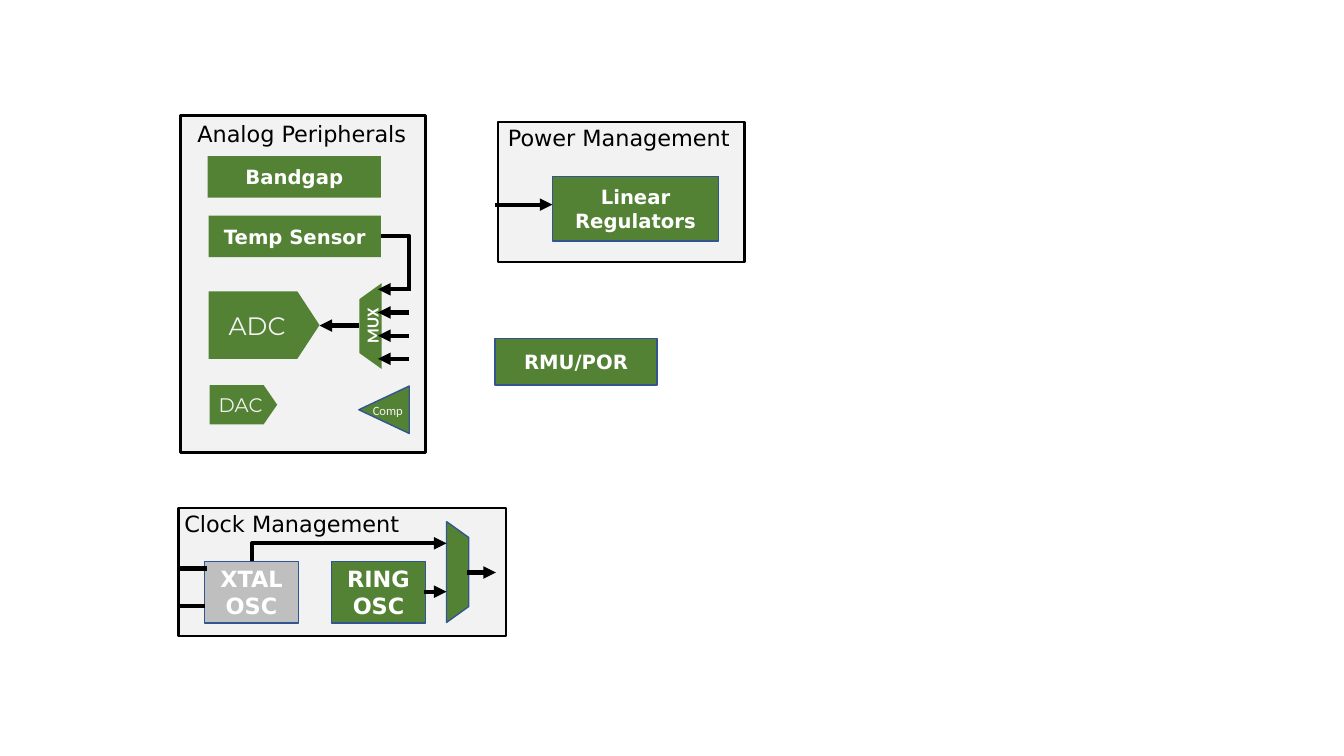
from dataclasses import dataclass

from lxml.etree import SubElement
from pptx import Presentation
from pptx.dml.color import RGBColor
from pptx.enum.shapes import MSO_CONNECTOR as Wire, MSO_SHAPE as Form
from pptx.enum.text import MSO_ANCHOR as Anchor, PP_ALIGN as Align
from pptx.oxml.ns import qn
from pptx.util import Inches, Pt


@dataclass(frozen=True)
class Theme:
    green: str = "548235"
    gray: str = "BFBFBF"
    panel: str = "F2F2F2"
    white: str = "FFFFFF"
    black: str = "000000"
    outline: str = "325491"
    sans: str = "DejaVu Sans"
    small_sans: str = "Calibri"
    display: str = "Montserrat"
    heading: int = 16
    block: int = 14
    converter: int = 18
    mux: int = 12
    small: int = 9
    wire: int = 3
    frame: int = 2
    thin: int = 1


THEME = Theme()
COLUMNS, ROWS = 133.33, 75


def cells(count):
    """Length of a number of grid cells, ten to the inch."""
    return Inches(count / 10)


class Region:
    """Draws parts at grid offsets from the corner of a box."""

    def __init__(self, shapes, box):
        self.shapes = shapes
        self.left, self.top, self.width, self.height = box

    def spot(self, x, y):
        return cells(self.left + x), cells(self.top + y)

    def add_text(self, shape, text, size, font, color, bold=False):
        para = shape.text_frame.paragraphs[0]
        span = para.add_run()
        span.text = text
        span.font.size, span.font.name, span.font.bold = Pt(size), font, bold
        span.font.color.rgb = RGBColor.from_string(color)
        return para

    def shape(self, form, box, fill=THEME.green, line=None, weight=THEME.thin, turn=0):
        """Adds a shape; box is its visible extent, also when it is turned."""
        x, y, width, height = box
        if turn:
            x, y = x + (width - height) / 2, y + (height - width) / 2
            width, height = height, width
        shape = self.shapes.add_shape(form, *self.spot(x, y), cells(width), cells(height))
        shape.rotation = turn
        shape.shadow.inherit = False
        shape.fill.solid()
        shape.fill.fore_color.rgb = RGBColor.from_string(fill)
        if line:
            shape.line.color.rgb = RGBColor.from_string(line)
            shape.line.width = Pt(weight)
        else:
            shape.line.fill.background()
        return shape

    def frame(self):
        self.shape(Form.RECTANGLE, (0, 0, self.width, self.height),
                   THEME.panel, THEME.black, THEME.frame)

    def caption(self, shape, text, size=THEME.block, font=THEME.sans):
        shape.text_frame.word_wrap = True
        shape.text_frame.vertical_anchor = Anchor.MIDDLE
        para = self.add_text(shape, text, size, font, THEME.white, bold=True)
        para.alignment = Align.CENTER

    def block(self, text, box, size=THEME.block, **style):
        self.caption(self.shape(Form.RECTANGLE, box, **style), text, size)

    def label(self, text, box, size=THEME.heading, font=THEME.sans,
              color=THEME.black, wrap=True):
        x, y, width, height = box
        label = self.shapes.add_textbox(*self.spot(x, y), cells(width), cells(height))
        label.text_frame.word_wrap = wrap
        self.add_text(label, text, size, font, color)

    def mux(self, box, turn, line=None):
        mux = self.shape(Form.TRAPEZOID, box, line=line, turn=turn)
        mux.adjustments[0] = 0.717
        return mux

    def wire(self, start, end, arrow=True, kind=Wire.STRAIGHT):
        wire = self.shapes.add_connector(kind, *self.spot(*start), *self.spot(*end))
        wire.line.width = Pt(THEME.wire)
        wire.line.color.rgb = RGBColor.from_string(THEME.black)
        properties = wire._element.spPr
        if arrow:
            SubElement(properties.find(qn("a:ln")), qn("a:tailEnd"), type="triangle")
        SubElement(properties, qn("a:effectLst"))
        return wire

    def corner(self, start, end, arrow=True, rising=False):
        """Adds a one-bend wire: across then down, or up then across if rising."""
        if rising:
            middle_x, middle_y = (start[0] + end[0]) / 2, (start[1] + end[1]) / 2
            half_x, half_y = abs(start[1] - end[1]) / 2, abs(end[0] - start[0]) / 2
            start = middle_x + half_x, middle_y + half_y
            end = middle_x - half_x, middle_y - half_y
        wire = self.wire(start, end, arrow, Wire.ELBOW)
        properties = wire._element.spPr
        properties.find(qn("a:prstGeom")).set("prst", "bentConnector2")
        if rising:
            properties.find(qn("a:xfrm")).set("rot", str(90 * 60000))


def analog_peripherals(shapes, box):
    region = Region(shapes, box)
    region.frame()
    region.label("Analog Peripherals", (0.7, -0.1, 23, 3.7))
    region.block("Bandgap", (2.7, 4, 17.2, 4.1))
    region.block("Temp Sensor", (2.8, 9.9, 17.1, 4.1))
    region.shape(Form.FLOWCHART_OFFPAGE_CONNECTOR, (2.8, 17.4, 11, 6.7), turn=270)
    mux = region.mux((17.75, 16.6, 2.2, 8.5), turn=270)
    region.caption(mux, "MUX", THEME.mux, THEME.small_sans)
    region.wire((17.7, 20.8), (13.8, 20.8))
    for index in range(4):
        y = 17.2 + 2.3 * index
        region.wire((22.7, y), (19.6, y))
    region.corner((19.9, 11.9), (22.7, 17.4), arrow=False)
    region.label("ADC", (3.8, 18.8, 7.9, 4), THEME.converter, THEME.display,
                 THEME.panel, wrap=False)
    region.shape(Form.FLOWCHART_OFFPAGE_CONNECTOR, (2.9, 26.7, 6.7, 3.9), turn=270)
    region.label("DAC", (2.8, 27, 6.5, 3.4), THEME.block, THEME.display,
                 THEME.panel, wrap=False)
    region.shape(Form.ISOSCELES_TRIANGLE, (17.7, 26.8, 5, 4.7),
                 line=THEME.outline, turn=270)
    region.label("Comp", (18.1, 28, 5, 2.5), THEME.small, THEME.small_sans,
                 THEME.panel, wrap=False)


def clock_management(shapes, box):
    region = Region(shapes, box)
    region.frame()
    oscillators = (("XTAL OSC", 2.6, THEME.gray), ("RING OSC", 15.2, THEME.green))
    for text, x, fill in oscillators:
        region.block(text, (x, 5.3, 9.3, 6.1), THEME.heading,
                     fill=fill, line=THEME.outline)
    region.mux((26.6, 1.35, 2.2, 10), turn=90, line=THEME.outline)
    region.wire((24.4, 8.3), (26.6, 8.3))
    region.corner((7.3, 5.3), (26.6, 3.5), rising=True)
    region.wire((28.6, 6.4), (31.5, 6.4))
    region.label("Clock Management", (-0.4, -0.3, 23.8, 3.7))
    for y, end in ((6, 2.8), (9.7, 2.6)):
        region.wire((0, y), (end, y), arrow=False)


def power_management(shapes, box):
    region = Region(shapes, box)
    region.frame()
    region.block("Linear Regulators", (5.4, 5.4, 16.5, 6.4), line=THEME.outline)
    region.label("Power Management", (0, -0.3, 24.5, 3.7))
    region.wire((-0.3, 8.2), (5.4, 8.2))


def reset_unit(shapes, box):
    region = Region(shapes, box)
    region.block("RMU/POR", (0, 0, region.width, region.height), line=THEME.outline)


def main():
    deck = Presentation()
    deck.slide_width, deck.slide_height = cells(COLUMNS), cells(ROWS)
    page = deck.slides.add_slide(deck.slide_layouts[6])
    panels = (
        (analog_peripherals, (17.9, 11.5, 24.3, 33.4)),
        (clock_management, (17.7, 50.4, 32.5, 12.7)),
        (power_management, (49.4, 12.1, 24.5, 13.9)),
    )
    for draw, box in panels:
        draw(page.shapes.add_group_shape().shapes, box)
    reset_unit(page.shapes, (49.1, 33.6, 16.1, 4.6))
    deck.save("out.pptx")


if __name__ == "__main__":
    main()
